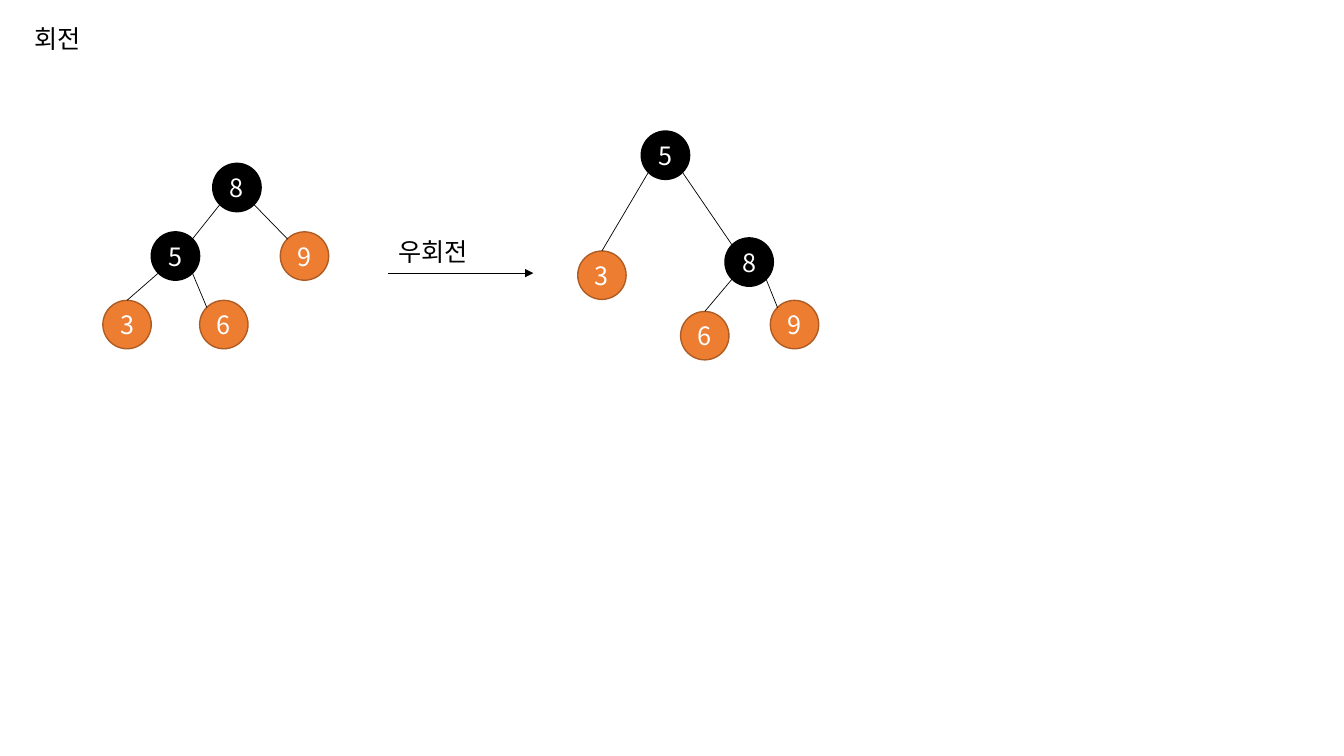
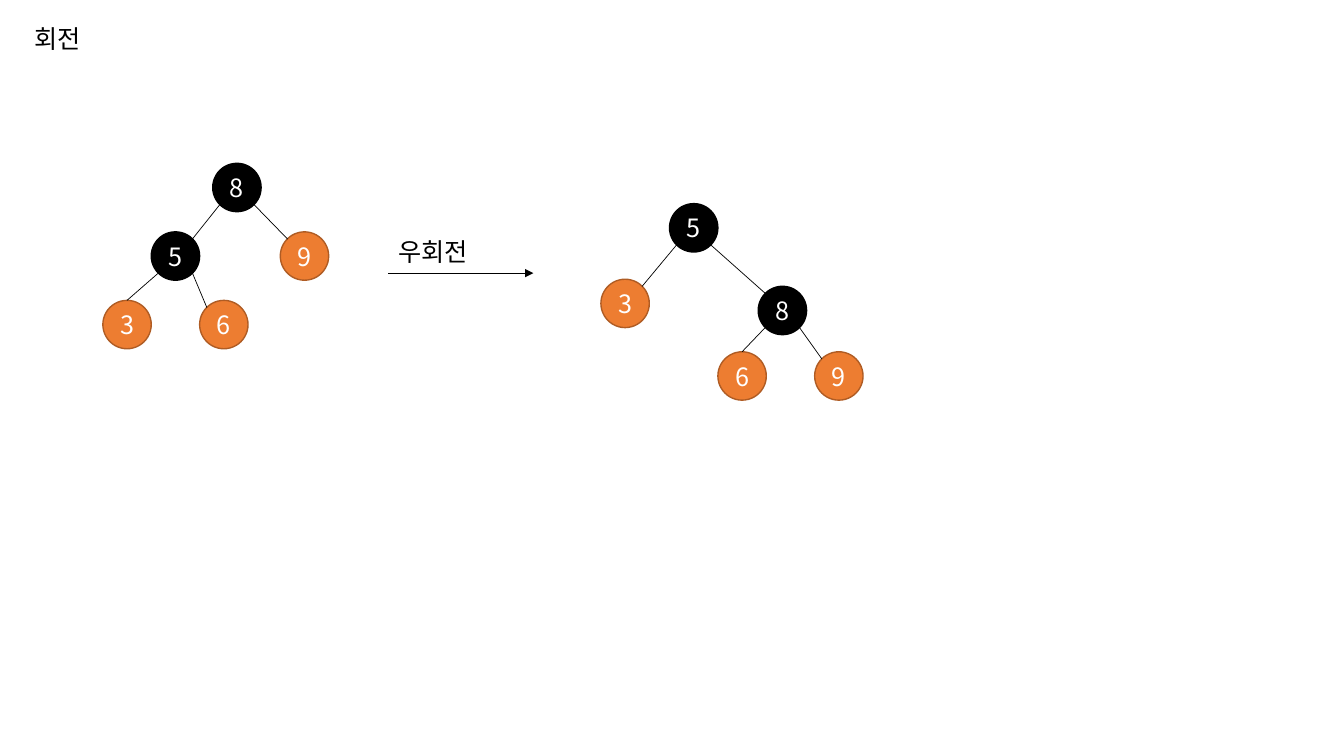
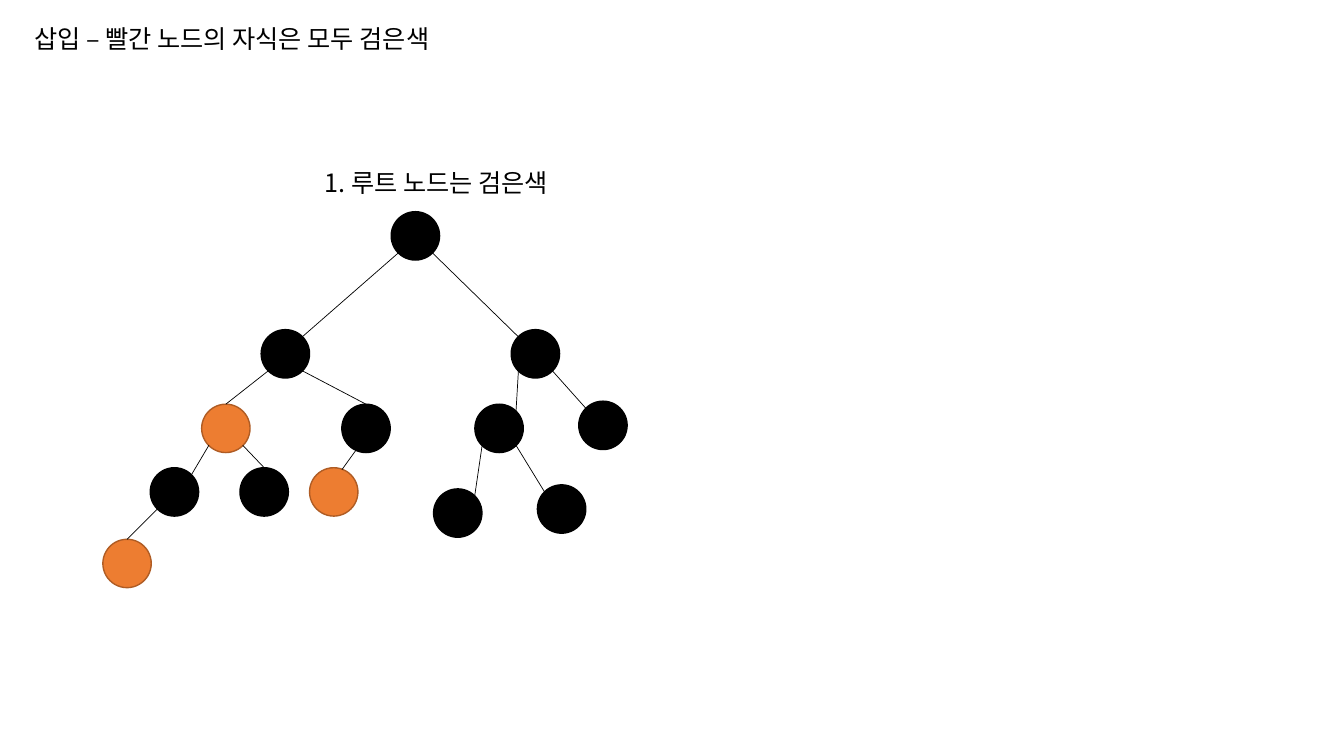
from dataclasses import dataclass

from lxml.etree import SubElement
from pptx import Presentation
from pptx.dml.color import RGBColor
from pptx.enum.shapes import MSO_CONNECTOR as CONN, MSO_SHAPE as SHAPE
from pptx.enum.text import MSO_ANCHOR as ANCHOR, MSO_AUTO_SIZE as AUTO, PP_ALIGN as ALIGN
from pptx.oxml.ns import qn
from pptx.slide import Slide
from pptx.text.text import TextFrame
from pptx.util import Inches, Pt

COLORS = {"black": "000000", "red": "ED7D31", "red_edge": "AF5C24", "white": "FFFFFF"}
FONT = "Noto Sans CJK KR"
SIZE = 0.48  # node diameter

Point = tuple[float, float]

# Points on a node's outline, as fractions of its box
TOP: Point = (0.5, 0)
TOP_LEFT: Point = (0.15, 0.15)
TOP_RIGHT: Point = (0.85, 0.15)
BOTTOM_LEFT: Point = (0.15, 0.85)
BOTTOM_RIGHT: Point = (0.85, 0.85)


@dataclass(frozen=True)
class Node:
    """A tree node; start lies on its parent and end on the node itself."""
    x: float
    y: float
    label: str = ""
    red: bool = False
    children: tuple["Node", ...] = ()
    start: Point | None = None
    end: Point | None = None

    def at(self, site: Point) -> Point:
        """Return the slide position of a point on the outline."""
        return self.x + site[0] * SIZE, self.y + site[1] * SIZE


def color(name: str) -> RGBColor:
    """Look up a named colour."""
    return RGBColor.from_string(COLORS[name])


def write(tf: TextFrame, text: str, ink: str) -> None:
    """Set one styled line of text."""
    p = tf.paragraphs[0]
    p.text = text
    for r in p.runs:
        r.font.size = Pt(18)
        r.font.name = FONT
        r.font.color.rgb = color(ink)
        SubElement(r.font._element, qn("a:ea"), typeface=FONT)


def add_label(slide: Slide, x: float, y: float, w: float, text: str) -> None:
    """Add a one-line text box."""
    tf = slide.shapes.add_textbox(Inches(x), Inches(y), Inches(w), Inches(0.4)).text_frame
    tf.word_wrap = False
    tf.auto_size = AUTO.SHAPE_TO_FIT_TEXT
    write(tf, text, "black")


def add_line(slide: Slide, start: Point, end: Point, arrow: bool = False) -> None:
    """Add a thin black line, with an arrowhead if asked."""
    sp = slide.shapes.add_connector(CONN.STRAIGHT, *map(Inches, start + end))
    sp.line.width = Pt(0.5)
    sp.line.color.rgb = color("black")
    if arrow:
        SubElement(sp.line._get_or_add_ln(), qn("a:tailEnd"), type="triangle")
    SubElement(sp._element.spPr, qn("a:effectLst"))


def add_node(slide: Slide, node: Node) -> None:
    """Add the circle of a node."""
    sp = slide.shapes.add_shape(SHAPE.OVAL, *map(Inches, (node.x, node.y, SIZE, SIZE)))
    sp.shadow.inherit = False
    sp.fill.solid()
    sp.fill.fore_color.rgb = color("red" if node.red else "black")
    sp.line.color.rgb = color("red_edge" if node.red else "black")
    sp.line.width = Pt(1)
    if node.label:
        tf = sp.text_frame
        tf.vertical_anchor = ANCHOR.MIDDLE
        write(tf, node.label, "white")
        tf.paragraphs[0].alignment = ALIGN.CENTER


def add_tree(slide: Slide, root: Node) -> None:
    """Add a node, its subtrees and the lines to them."""
    add_node(slide, root)
    for child in root.children:
        add_tree(slide, child)
        is_left = child.x < root.x
        start = child.start or (BOTTOM_LEFT if is_left else BOTTOM_RIGHT)
        end = child.end or (TOP_RIGHT if is_left else TOP_LEFT)
        add_line(slide, root.at(start), child.at(end))


def add_slide(title: str) -> Slide:
    """Add a blank slide with its title."""
    slide = prs.slides.add_slide(prs.slide_layouts[6])
    add_label(slide, 0.24, 0.18, 4.74 if len(title) > 2 else 0.71, title)
    return slide


def add_rotation(rotated: Node) -> None:
    """Add a slide that shows the tree before and after a right rotation."""
    slide = add_slide("회전")
    add_tree(slide, BEFORE)
    add_line(slide, (3.85, 2.71), (5.29, 2.71), arrow=True)
    add_label(slide, 3.85, 2.3, 0.96, "우회전")
    add_tree(slide, rotated)


BEFORE = Node(2.11, 1.62, "8", children=(
    Node(1.5, 2.3, "5", children=(
        Node(1.02, 2.98, "3", red=True, end=TOP),
        Node(1.98, 2.98, "6", red=True),
    )),
    Node(2.78, 2.3, "9", red=True),
))

ROTATED_TALL = Node(6.36, 1.3, "5", children=(
    Node(5.73, 2.49, "3", red=True, end=TOP),
    Node(7.19, 2.36, "8", children=(
        Node(6.75, 3.09, "6", red=True, end=TOP),
        Node(7.64, 2.98, "9", red=True),
    )),
))

ROTATED_WIDE = Node(6.64, 2.02, "5", children=(
    Node(5.96, 2.77, "3", red=True),
    Node(7.52, 2.84, "8", children=(
        Node(7.12, 3.49, "6", red=True, end=TOP),
        Node(8.08, 3.49, "9", red=True),
    )),
))

INSERTION = Node(3.88, 2.1, children=(
    Node(2.59, 3.27, children=(
        Node(2, 4.01, red=True, end=TOP, children=(
            Node(1.49, 4.64, children=(Node(1.02, 5.35, red=True, end=TOP),)),
            Node(2.38, 4.64, end=TOP),
        )),
        Node(3.39, 4.01, end=TOP, children=(
            Node(3.07, 4.64, red=True, start=(0.33, 0.9), end=(0.67, 0.04)),
        )),
    )),
    Node(5.07, 3.27, children=(
        Node(4.71, 4.01, children=(Node(4.3, 4.85), Node(5.33, 4.81))),
        Node(5.74, 3.98),
    )),
))

prs = Presentation()
prs.slide_width, prs.slide_height = Inches(13.33), Inches(7.5)

for rotated in (ROTATED_TALL, ROTATED_WIDE):
    add_rotation(rotated)

insertion = add_slide("삽입 – 빨간 노드의 자식은 모두 검은색")
add_tree(insertion, INSERTION)
add_label(insertion, 3.12, 1.61, 2.68, "1. 루트 노드는 검은색")

prs.save("out.pptx")
